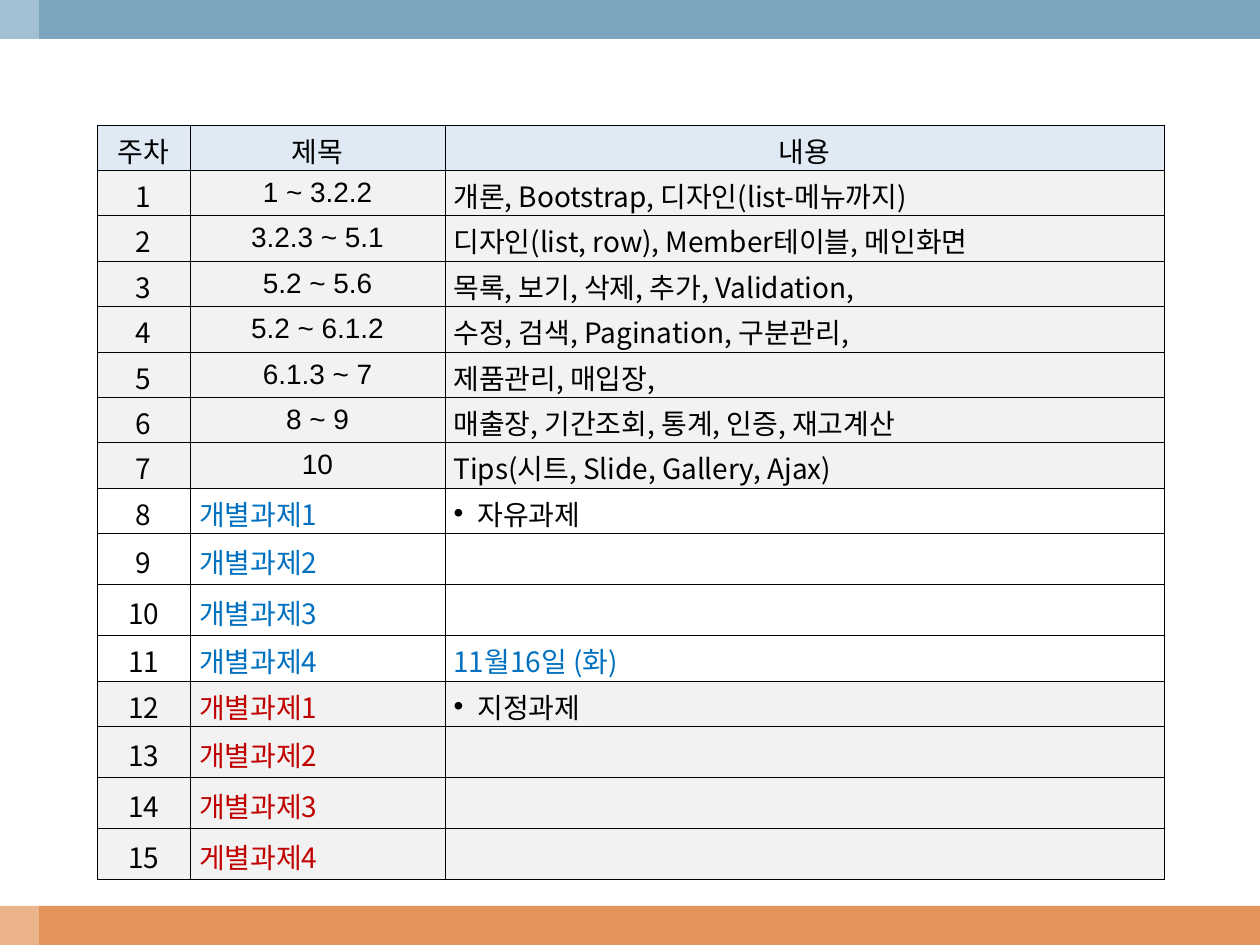
from lxml.etree import SubElement
from pptx import Presentation
from pptx.dml.color import RGBColor
from pptx.enum.shapes import MSO_SHAPE
from pptx.enum.text import MSO_ANCHOR, PP_ALIGN
from pptx.oxml.ns import qn
from pptx.util import Inches, Pt

HUES = {"orange": "E49458", "steel": "7BA5BE", "white": "FFFFFF", "black": "000000",
        "head": "DFEAF5", "gray": "F2F2F2", "blue": "0070C0", "red": "C00000"}
SANS, KOR = "Arial", "Noto Sans CJK KR"
BARS = [(0, 7.19, 10, 0.31, "orange"), (0, 0, 10, 0.31, "steel"), (0, 0, 0.31, 7.5, "white")]
COLS = [0.74, 2.02, 5.71]
HIGH = 5.51
HEAD = ["주차", "제목", "내용"]
WEEKS = [
    ("1 ~ 3.2.2", "개론, Bootstrap, 디자인(list-메뉴까지)"),
    ("3.2.3 ~ 5.1", "디자인(list, row), Member테이블, 메인화면"),
    ("5.2 ~ 5.6", "목록, 보기, 삭제, 추가, Validation,"),
    ("5.2 ~ 6.1.2", "수정, 검색, Pagination, 구분관리,"),
    ("6.1.3 ~ 7", "제품관리, 매입장,"),
    ("8 ~ 9", "매출장, 기간조회, 통계, 인증, 재고계산"),
    ("10", "Tips(시트, Slide, Gallery, Ajax)"),
]
FREE = [("개별과제1", "자유과제"), ("개별과제2", ""), ("개별과제3", ""), ("개별과제4", "11월16일 (화)")]
FIXED = [("개별과제1", "지정과제"), ("개별과제2", ""), ("개별과제3", ""), ("게별과제4", "")]
DOTS = {"자유과제", "지정과제"}
CENTER, LEFT, JUST = PP_ALIGN.CENTER, PP_ALIGN.LEFT, PP_ALIGN.JUSTIFY


def rgb(hue):
    return RGBColor.from_string(HUES[hue])


def paint(item, hue):
    item.fill.solid()
    item.fill.fore_color.rgb = rgb(hue)


def frame(cell):
    props = cell._tc.get_or_add_tcPr()
    for side in ("a:lnL", "a:lnR", "a:lnT", "a:lnB"):
        line = SubElement(props, qn(side), w=str(Pt(0.11)))
        fill = SubElement(line, qn("a:solidFill"))
        SubElement(fill, qn("a:srgbClr"), val=HUES["black"])


def dot(para):
    props = para._p.get_or_add_pPr()
    props.set("marL", str(Inches(0.19)))
    props.set("indent", str(Inches(-0.19)))
    tint = SubElement(props, qn("a:buClr"))
    SubElement(tint, qn("a:srgbClr"), val=HUES["black"])
    SubElement(props, qn("a:buFont"), typeface=SANS)
    SubElement(props, qn("a:buChar"), char="•")


def write(cell, text, ground, align=CENTER, hue="black", face=KOR):
    frame(cell)
    paint(cell, ground)
    low = 0 if face == KOR else 0.04
    form = {"margin_left": Inches(0.07), "margin_right": Inches(0.07),
            "margin_top": Inches(0.04), "margin_bottom": Inches(low),
            "vertical_anchor": MSO_ANCHOR.MIDDLE}
    if not text:
        form.update(margin_top=Inches(0.05), margin_bottom=Inches(0.05))
    for key, val in form.items():
        setattr(cell, key, val)
    if not text:
        return
    para = cell.text_frame.paragraphs[0]
    para.alignment = align
    if text in DOTS:
        dot(para)
    run = para.add_run()
    run.text = text
    for key, val in {"name": face, "size": Pt(16), "bold": False}.items():
        setattr(run.font, key, val)
    run.font.color.rgb = rgb(hue)
    SubElement(run._r.get_or_add_rPr(), qn("a:ea"), typeface=face)


def main():
    deck = Presentation()
    deck.slide_width, deck.slide_height = Inches(10), Inches(7.5)
    slide = deck.slides.add_slide(deck.slide_layouts[6])

    for *box, hue in BARS:
        bar = slide.shapes.add_shape(MSO_SHAPE.RECTANGLE, *map(Inches, box))
        bar.shadow.inherit = False
        bar.line.fill.background()
        paint(bar, hue)
        if hue == "white":
            tint = bar._element.spPr.find(".//" + qn("a:srgbClr"))
            SubElement(tint, qn("a:alpha"), val="30000")

    rows = [[(text, "head") for text in HEAD]]
    plan = [(WEEKS, "gray", CENTER, "black", SANS, LEFT),
            (FREE, "white", LEFT, "blue", KOR, JUST),
            (FIXED, "gray", LEFT, "red", KOR, JUST)]
    for part, ground, align, hue, face, flow in plan:
        for name, note in part:
            ink = "black" if note in DOTS else hue
            rows.append([(str(len(rows)), ground), (name, ground, align, hue, face),
                         (note, ground, flow, ink)])

    grid = slide.shapes.add_table(len(rows), len(COLS), Inches(0.77), Inches(0.99),
                                  Inches(sum(COLS)), Inches(HIGH)).table
    grid.first_row = grid.horz_banding = False
    for col, width in zip(grid.columns, COLS):
        col.width = Inches(width)
    for row, line in zip(grid.rows, rows):
        row.height = Inches(HIGH / len(rows))
        for cell, item in zip(row.cells, line):
            write(cell, *item)

    deck.save("out.pptx")


if __name__ == "__main__":
    main()
